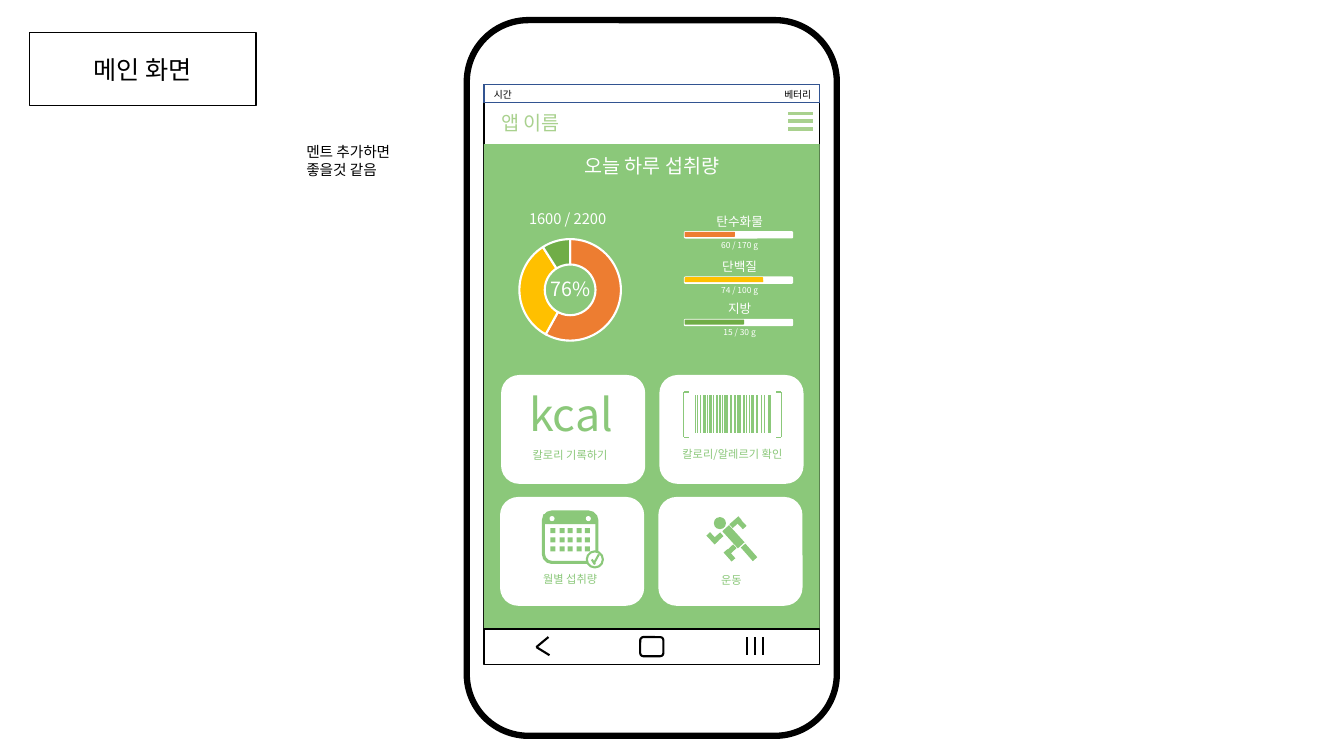
from lxml import etree
from pptx import Presentation
from pptx.chart.data import CategoryChartData
from pptx.dml.color import RGBColor
from pptx.enum.chart import XL_CHART_TYPE
from pptx.enum.shapes import MSO_CONNECTOR, MSO_SHAPE
from pptx.enum.text import MSO_ANCHOR, MSO_AUTO_SIZE, PP_ALIGN
from pptx.oxml.ns import qn
from pptx.util import Emu, Pt

PX = 9144
FONT = "Noto Sans CJK KR"
WHITE, BLACK, GREEN, PALE_GREEN = "FFFFFF", "000000", "8BC87A", "A9D18E"
ORANGE, YELLOW, DARK_GREEN, BLUE = "ED7D31", "FFC000", "70AD47", "325491"
RECT, ROUND, OVAL = MSO_SHAPE.RECTANGLE, MSO_SHAPE.ROUNDED_RECTANGLE, MSO_SHAPE.OVAL
STRAIGHT, DOUGHNUT = MSO_CONNECTOR.STRAIGHT, XL_CHART_TYPE.DOUGHNUT
LEFT, CENTER, MIDDLE = PP_ALIGN.LEFT, PP_ALIGN.CENTER, MSO_ANCHOR.MIDDLE
GROW = MSO_AUTO_SIZE.SHAPE_TO_FIT_TEXT

NUTRIENTS = [
    ("탄수화물", "60 / 170 g", 230, 50, ORANGE),
    ("단백질", "74 / 100 g", 275, 78, YELLOW),
    ("지방", "15 / 30 g", 317, 59, DARK_GREEN),
]
CARDS = [
    (497, 372, 480, 440, "칼로리 기록하기"),
    (654, 372, 641, 439, "칼로리/알레르기 확인"),
    (496, 493, 480, 563, "월별 섭취량"),
    (653, 493, 640, 564, "운동"),
]
BARCODE = [
    (690, 1), (692, 1), (695, 1), (699, 2.25), (702, 0.5), (705, 2.25),
    (708, 0.5), (711, 1), (714, 1), (716, 0.5), (720, 2.25), (725, 1),
    (729, 1), (733, 2.25), (738, 1), (740, 0.5), (743, 0.5), (746, 2.25),
    (751, 1), (755, 1), (758, 1), (763, 2.25),
]
RUNNER_LIMBS = [
    (723, 521, 9, 23, 317.7), (709, 528, 5, 12, 48.6), (704, 528, 5, 12, 316.9),
    (727, 512, 5, 12, 228.6), (732, 513, 5, 12, 136.9), (721, 545, 5, 12, 138.6),
    (722, 540, 5, 12, 46.9), (740, 539, 6, 18, 318.6),
]


def px(*lengths):
    """Turn px lengths into EMU."""
    return [Emu(length * PX) for length in lengths]


def color(code):
    """Turn a hex string into a colour."""
    return RGBColor.from_string(code)


def write(shape, text, size, ink, align):
    """Set and format the text of a shape."""
    frame = shape.text_frame
    frame.word_wrap = True
    frame.text = text
    para = frame.paragraphs[0]
    para.alignment = align
    span = para.runs[0]
    span.font.size = Pt(size)
    span.font.name = FONT
    span.font.color.rgb = color(ink)
    etree.SubElement(span.font._element, qn("a:ea"), typeface=FONT)


def add_label(page, place, text, size, ink, align=CENTER):
    """Add a text box at left, top, width, height."""
    box = page.shapes.add_textbox(*px(*place))
    write(box, text, size, ink, align)
    box.text_frame.auto_size = GROW


def add_block(page, kind, place, fill=None, line=None, weight=1, turn=0):
    """Add a preset shape with optional fill, outline and rotation."""
    block = page.shapes.add_shape(kind, *px(*place))
    block.shadow.inherit = False
    block.rotation = turn
    if fill:
        block.fill.solid()
        block.fill.fore_color.rgb = color(fill)
    else:
        block.fill.background()
    if line:
        block.line.color.rgb = color(line)
        block.line.width = Pt(weight)
    else:
        block.line.fill.background()
    return block


def add_line(page, ends, ink, weight):
    """Add a straight line from x, y to x, y."""
    line = page.shapes.add_connector(STRAIGHT, *px(*ends))
    line.line.color.rgb = color(ink)
    line.line.width = Pt(weight)
    etree.SubElement(line._element.spPr, qn("a:effectLst"))


def add_doughnut(page):
    """Add the intake doughnut chart."""
    data = CategoryChartData()
    data.categories = ["1", "2", "3"]
    data.add_series("Series 1", (58, 33, 9))
    chart = page.shapes.add_chart(DOUGHNUT, *px(507, 236, 156, 126), data).chart
    chart.has_title = False
    chart.has_legend = False
    chart.font.size = Pt(10)
    chart.font.name = FONT
    chart.font.color.rgb = color(BLACK)
    plot = chart.plots[0]
    plot.vary_by_categories = True
    for index, fill in enumerate((ORANGE, YELLOW, DARK_GREEN)):
        slice_format = plot.series[0].points[index].format
        slice_format.fill.solid()
        slice_format.fill.fore_color.rgb = color(fill)
        slice_format.line.color.rgb = color(WHITE)
        slice_format.line.width = Pt(1.5)
    area = chart._chartSpace.chart.plotArea
    area.find(".//" + qn("c:holeSize")).set("val", "75")
    for layout in area.findall(qn("c:layout")):
        area.remove(layout)
    layout = etree.Element(qn("c:layout"))
    area.insert(0, layout)
    manual = etree.SubElement(layout, qn("c:manualLayout"))
    settings = [("layoutTarget", "inner"), ("xMode", "edge"), ("yMode", "edge"),
                ("x", "0.05"), ("y", "0.01"), ("w", "0.65"), ("h", "0.8")]
    for name, value in settings:
        etree.SubElement(manual, qn("c:" + name), val=value)


def add_phone(page):
    """Add the phone body, status bar and title bar."""
    add_block(page, ROUND, (463, 20, 367, 710), WHITE, BLACK, 4.5)
    add_block(page, RECT, (480, 84, 333, 574), WHITE, BLACK)
    add_block(page, RECT, (480, 143, 333, 515), GREEN)
    add_block(page, RECT, (480, 84, 333, 18), WHITE, BLUE)
    add_label(page, (480, 83, 52, 22), "시간", 7, BLACK, LEFT)
    add_label(page, (768, 83, 52, 22), "베터리", 7, BLACK, LEFT)
    add_label(page, (480, 105, 92, 34), "앱 이름", 14, PALE_GREEN)
    for y in (113, 120, 128):
        add_line(page, (782, y, 806, y), PALE_GREEN, 2.25)


def add_intake(page):
    """Add the daily intake summary."""
    add_label(page, (496, 148, 301, 34), "오늘 하루 섭취량", 14, WHITE)
    add_label(page, (404, 203, 318, 29), "1600 / 2200", 10.5, WHITE)
    add_doughnut(page)
    add_label(page, (522, 270, 88, 34), "76%", 14, WHITE)
    for name, amount, top, width, fill in NUTRIENTS:
        add_block(page, ROUND, (679, top, 107, 6), WHITE, WHITE)
        add_block(page, ROUND, (679, top, width, 5), fill)
        add_label(page, (699, top - 23, 69, 25), name, 9, WHITE)
        add_label(page, (699, top + 3, 69, 20), amount, 6, WHITE)


def add_barcode(page):
    """Add the barcode icon between two brackets."""
    for x, weight in BARCODE:
        add_line(page, (x, 392, x, 430), GREEN, weight)
    for edge, tip in ((678, 683), (775, 770)):
        add_line(page, (edge, 389, edge, 434), GREEN, 1)
        for y in (389, 434):
            add_line(page, (tip, y, edge, y), GREEN, 1)


def add_calendar(page):
    """Add the calendar icon with its check mark."""
    add_block(page, ROUND, (539, 508, 53, 50), None, GREEN, 2.25)
    for place in ((539, 515, 53, 5), (539, 510, 52, 5), (542, 509, 47, 5)):
        add_block(page, RECT, place, GREEN)
    for left in (545, 581):
        add_block(page, OVAL, (left, 512, 5, 5), WHITE)
    for day in range(15):
        row, column = divmod(day, 5)
        place = (546 + round(column * 8.6), 524 + row * 9, 5, 5)
        add_block(page, RECT, place, GREEN)
    add_block(page, OVAL, (582, 547, 16, 16), WHITE, GREEN, 1.5)
    add_line(page, (587, 555, 590, 560), GREEN, 1.5)
    add_line(page, (594, 550, 589, 559), GREEN, 1.5)


def add_runner(page):
    """Add the running figure icon."""
    add_block(page, OVAL, (708, 513, 12, 12), GREEN)
    for *place, turn in RUNNER_LIMBS:
        add_block(page, RECT, place, GREEN, turn=turn)


def add_navigation(page):
    """Add the navigation bar with its three buttons."""
    add_block(page, RECT, (480, 624, 333, 35), WHITE, BLACK)
    for start in ((544, 632), (545, 650)):
        add_line(page, (*start, 532, 642), BLACK, 1.5)
    add_block(page, ROUND, (635, 632, 23, 19), WHITE, BLACK, 1.5)
    for x in (741, 749, 757):
        add_line(page, (x, 632, x, 650), BLACK, 1.5)


def main():
    """Build and save the slide."""
    deck = Presentation()
    deck.slide_width, deck.slide_height = px(1333, 750)
    page = deck.slides.add_slide(deck.slide_layouts[6])
    add_phone(page)
    add_intake(page)
    for left, top, label_left, label_top, text in CARDS:
        add_block(page, ROUND, (left, top, 143, 108), WHITE)
        add_label(page, (label_left, label_top, 171, 24), text, 8, GREEN)
    add_label(page, (502, 379, 129, 64), "kcal", 32, GREEN)
    add_barcode(page)
    add_calendar(page)
    add_runner(page)
    add_navigation(page)
    heading = add_block(page, RECT, (29, 32, 225, 73), WHITE, BLACK)
    write(heading, "메인 화면", 18, BLACK, CENTER)
    heading.text_frame.vertical_anchor = MIDDLE
    add_label(page, (294, 137, 120, 45), "멘트 추가하면 좋을것 같음", 10.5, BLACK, LEFT)
    deck.save("out.pptx")


if __name__ == "__main__":
    main()
